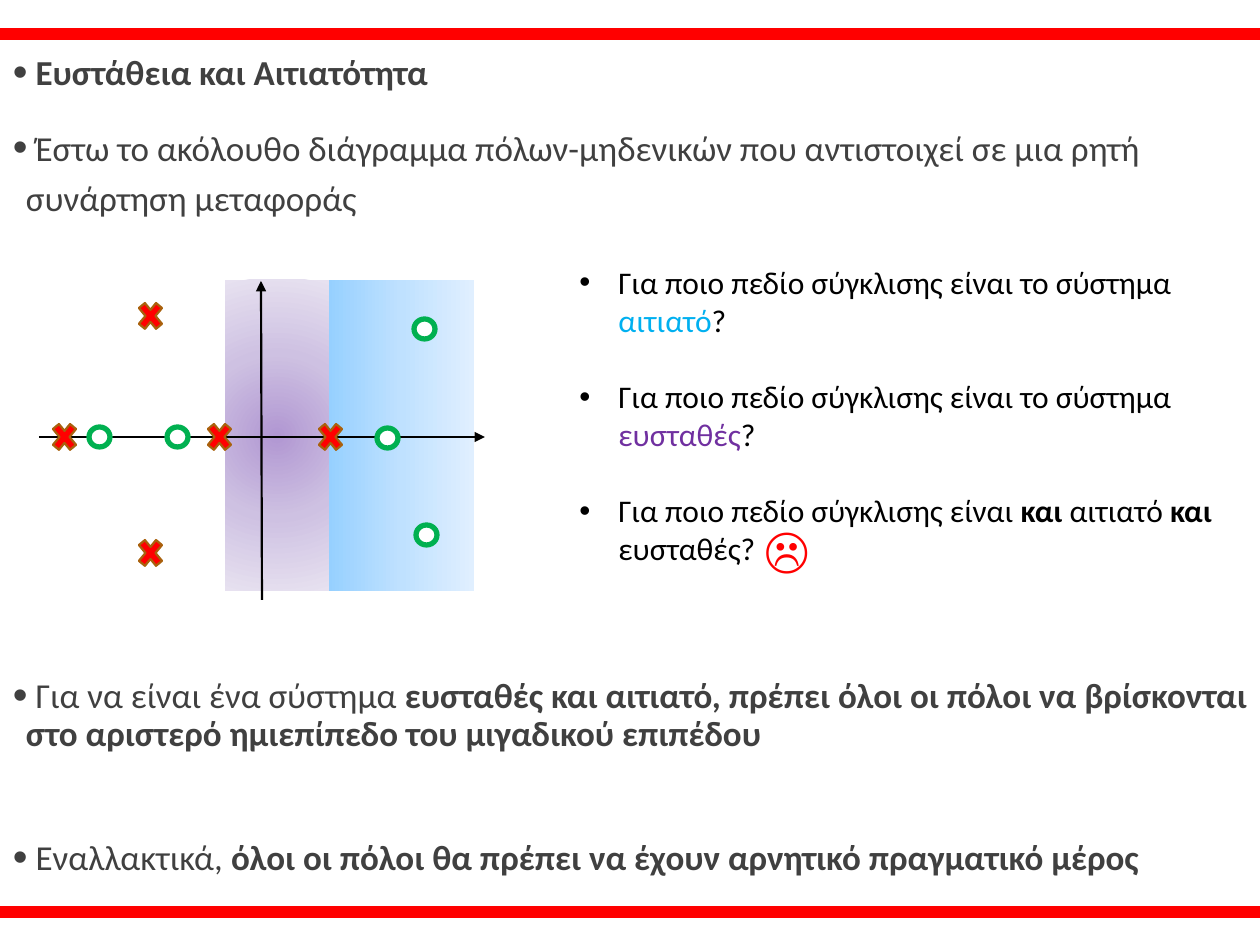
from lxml.etree import SubElement
from pptx import Presentation
from pptx.dml.color import RGBColor
from pptx.enum.shapes import MSO_CONNECTOR, MSO_SHAPE
from pptx.enum.text import MSO_ANCHOR, MSO_AUTO_SIZE, PP_ALIGN
from pptx.oxml.ns import qn
from pptx.util import Emu, Pt

SCALE = 914400 / 126
FONT = "Calibri"
BLACK = RGBColor(0x00, 0x00, 0x00)
WHITE = RGBColor(0xFF, 0xFF, 0xFF)
GREY = RGBColor(0x40, 0x40, 0x40)
RED = RGBColor(0xFF, 0x00, 0x00)
BROWN = RGBColor(0xA9, 0x61, 0x0D)
GREEN = RGBColor(0x00, 0xB0, 0x50)
CYAN = RGBColor(0x00, 0xB0, 0xF0)
PURPLE = RGBColor(0x70, 0x30, 0xA0)
BLUES = [RGBColor(0x96, 0xD0, 0xFF), RGBColor(0xBF, 0xE1, 0xFF), RGBColor(0xE0, 0xEF, 0xFF)]
LILACS = [RGBColor(0xB1, 0x97, 0xD2), RGBColor(0xCE, 0xC1, 0xE2), RGBColor(0xE7, 0xE1, 0xF0)]

POLES = [(150, 316), (150, 553), (219, 437), (330, 437), (64, 437)]
ZEROS = [(387, 438), (424, 329), (426, 535), (177, 437), (99, 437)]

NOTES = [
    (0, 0.9, [(" Ευστάθεια και Αιτιατότητα", True)]),
    (12, 1.2, [(" Έστω το ακόλουθο διάγραμμα πόλων-μηδενικών που αντιστοιχεί "
                "σε μια ρητή συνάρτηση μεταφοράς", False)]),
    (261, 0.9, [(" Για να είναι ένα σύστημα ", False),
                ("ευσταθές και αιτιατό, πρέπει όλοι οι πόλοι να βρίσκονται στο "
                 "αριστερό ημιεπίπεδο του μιγαδικού επιπέδου", True)]),
    (47, 0.9, [(" Εναλλακτικά, ", False),
               ("όλοι οι πόλοι θα πρέπει να έχουν αρνητικό πραγματικό μέρος", True)]),
]

ASK = "Για ποιο πεδίο σύγκλισης είναι "
ASKS = [
    [(ASK + "το σύστημα ", BLACK, False), ("αιτιατό", CYAN, False), ("?", BLACK, False)],
    [(ASK + "το σύστημα ", BLACK, False), ("ευσταθές", PURPLE, False), ("?", BLACK, False)],
    [(ASK, BLACK, False), ("και", BLACK, True), (" αιτιατό ", BLACK, False),
     ("και", BLACK, True), (" ευσταθές?", BLACK, False)],
]


def px(num):
    """Turn pixels into EMU."""
    return Emu(round(num * SCALE))


def add_run(para, text, size, color, bold=False):
    """Add one styled run."""
    run = para.add_run()
    run.text = text
    font = run.font
    font.name, font.size, font.bold = FONT, Pt(size), bold
    font.color.rgb = color


def set_bullet(para, indent, percent=100):
    """Give a paragraph a hanging round bullet."""
    props = para._p.get_or_add_pPr()
    props.set("marL", str(px(indent)))
    props.set("indent", str(-px(indent)))
    SubElement(props, qn("a:buSzPct"), val=str(percent * 1000))
    SubElement(props, qn("a:buFont"), typeface="Arial")
    SubElement(props, qn("a:buChar"), char="•")


def next_para(frame, first):
    """Return the first paragraph or a new one."""
    return frame.paragraphs[0] if first else frame.add_paragraph()


def add_shape(shapes, kind, left, top, width, height, fill, line=None, weight=1.25):
    """Add a preset shape with a plain fill."""
    shape = shapes.add_shape(kind, px(left), px(top), px(width), px(height))
    shape.shadow.inherit = False
    shape.fill.solid()
    shape.fill.fore_color.rgb = fill
    if line is None:
        shape.line.fill.background()
    else:
        shape.line.color.rgb = line
        shape.line.width = Pt(weight)
    return shape


def add_band(shapes, left, width, colors, round_fade=False):
    """Add a region with a three-stop gradient."""
    band = add_shape(shapes, MSO_SHAPE.RECTANGLE, left, 280, width, 311, colors[0])
    fill = band.fill
    fill.gradient()
    grad = band._element.spPr.find(qn("a:gradFill"))
    for part in list(grad):
        grad.remove(part)
    stops = SubElement(grad, qn("a:gsLst"))
    for spot, color in enumerate(colors):
        stop = SubElement(stops, qn("a:gs"), pos=str(spot * 50000))
        SubElement(stop, qn("a:srgbClr"), val=str(color))
    if round_fade:
        fade = SubElement(grad, qn("a:path"), path="circle")
        SubElement(fade, qn("a:fillToRect"), l="50000", t="50000", r="50000", b="50000")
    else:
        SubElement(grad, qn("a:lin"), ang="0", scaled="0")


def add_axis(shapes, start, end):
    """Add an axis with an arrowhead at its end."""
    axis = shapes.add_connector(MSO_CONNECTOR.STRAIGHT, *map(px, start + end))
    axis.line.color.rgb = BLACK
    axis.line.width = Pt(1.25)
    SubElement(axis.line._get_or_add_ln(), qn("a:tailEnd"), type="triangle")
    SubElement(axis._element.spPr, qn("a:effectLst"))


def add_plot(slide):
    """Draw the pole-zero diagram."""
    add_band(slide.shapes, 328, 146, BLUES)
    add_band(slide.shapes, 225, 104, LILACS, True)
    shapes = slide.shapes.add_group_shape().shapes
    add_axis(shapes, (39, 437), (485, 437))
    add_axis(shapes, (262, 600), (261, 281))
    for x, y in POLES:
        add_shape(shapes, MSO_SHAPE.MATH_MULTIPLY, x - 16, y - 20, 33, 40, RED, BROWN)
    for x, y in ZEROS:
        add_shape(shapes, MSO_SHAPE.OVAL, x - 10, y - 10, 21, 20, WHITE, GREEN, 3)


def fill_body(slide):
    """Write the main statements in the body placeholder."""
    title, body = slide.placeholders
    title._element.getparent().remove(title._element)
    body.left, body.top, body.width, body.height = map(px, (13, 49, 1235, 849))
    frame = body.text_frame
    frame.auto_size = MSO_AUTO_SIZE.NONE
    frame.vertical_anchor = MSO_ANCHOR.TOP
    frame.margin_left = frame.margin_right = 0
    for spot, (before, spacing, runs) in enumerate(NOTES):
        para = next_para(frame, spot == 0)
        set_bullet(para, 13, 120)
        para.alignment = PP_ALIGN.LEFT
        para.line_spacing = spacing
        para.space_before, para.space_after = Pt(before), Pt(2)
        for text, bold in runs:
            add_run(para, text, 20, GREY, bold)


def add_box(slide, left, top, width, height):
    """Add a wrapping text box and return its frame."""
    frame = slide.shapes.add_textbox(*map(px, (left, top, width, height))).text_frame
    frame.word_wrap = True
    frame.auto_size = MSO_AUTO_SIZE.SHAPE_TO_FIT_TEXT
    return frame


def add_asks(slide):
    """Add the list of questions and the sad face."""
    frame = add_box(slide, 567, 257, 663, 318)
    for spot, runs in enumerate(ASKS):
        para = next_para(frame, spot == 0)
        set_bullet(para, 39)
        para.space_before = Pt(22 if spot else 0)
        for text, color, bold in runs:
            add_run(para, text, 18, color, bold)
    face = add_box(slide, 752, 512, 54, 72)
    add_run(face.paragraphs[0], "☹", 28, RED)


def main():
    """Build and save the slide."""
    deck = Presentation()
    deck.slide_width, deck.slide_height = px(1260), px(945)
    slide = deck.slides.add_slide(deck.slide_layouts[1])
    fill_body(slide)
    add_plot(slide)
    add_asks(slide)
    for top in (29, 907):
        add_shape(slide.shapes, MSO_SHAPE.RECTANGLE, 0, top, 1260, 10, RED, RED)
    deck.save("out.pptx")


if __name__ == "__main__":
    main()
